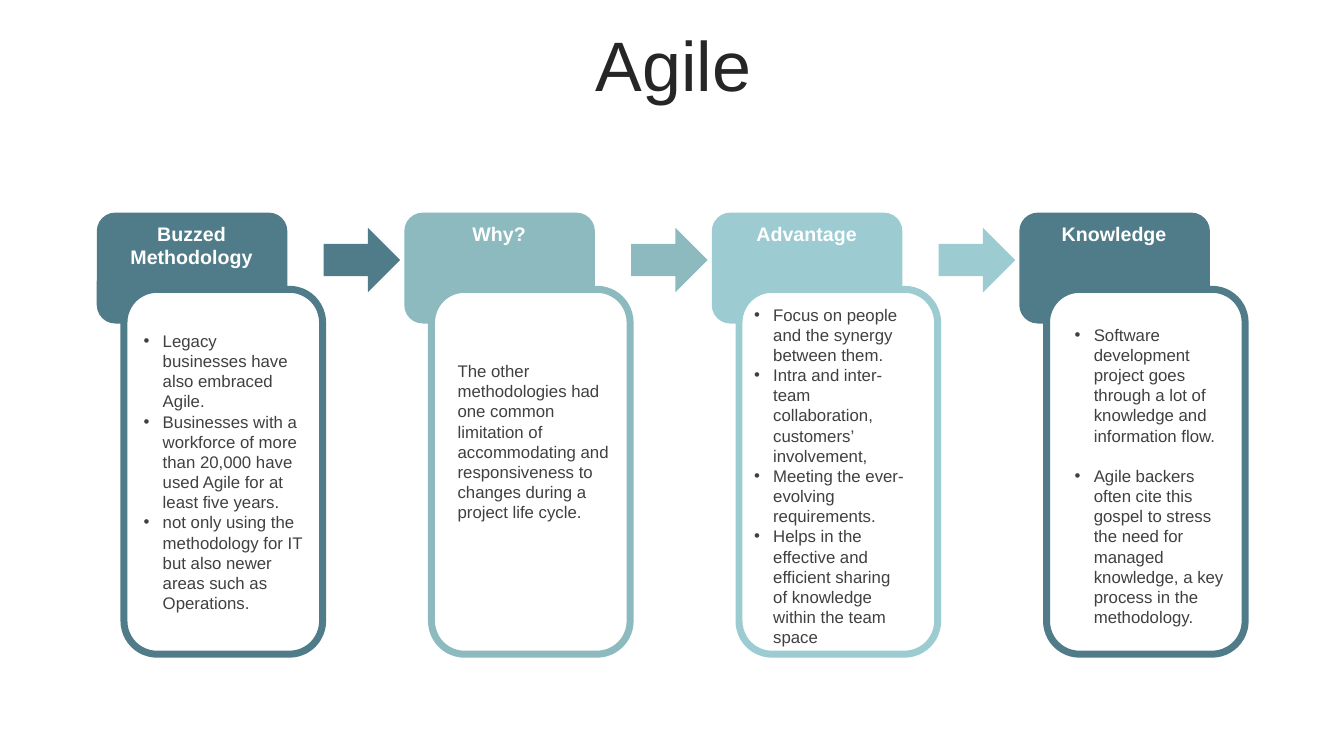
import pptx
import pptx.util
import pptx.dml.color
import pptx.enum.shapes
import pptx.enum.text
import pptx.oxml
import pptx.oxml.ns

Inches, Pt = pptx.util.Inches, pptx.util.Pt
RGBColor = pptx.dml.color.RGBColor
SHAPE = pptx.enum.shapes.MSO_SHAPE
ANCHOR = pptx.enum.text.MSO_ANCHOR
ALIGN = pptx.enum.text.PP_ALIGN

SLATE = RGBColor(0x50, 0x7C, 0x89)
TEAL = RGBColor(0x8C, 0xBA, 0xBE)
AQUA = RGBColor(0x9C, 0xCC, 0xD2)
WHITE = RGBColor(0xFF, 0xFF, 0xFF)
INK = RGBColor(0x26, 0x26, 0x26)
GREY = RGBColor(0x40, 0x40, 0x40)

# Grid of four equal columns
FIRST_LEFT, COLUMN_PITCH = 0.96, 3.05
TAB_TOP, CARD_TOP = 2.11, 2.87
INDENT = Inches(0.19)

# Heading, colour, body box (offset from column, top, height; None = inside card),
# bulleted, gap between paragraphs, paragraphs
COLUMNS = [
    ("Buzzed Methodology", SLATE, None, True, 0, [
        "Legacy businesses have also embraced Agile.",
        "Businesses with a workforce of more than 20,000 have used Agile for at least five years.",
        "not only using the methodology for IT but also newer areas such as Operations."]),
    ("Why?", TEAL, (0.43, 3.53, 1.92), False, 0, [
        "The other methodologies had one common limitation of accommodating and "
        "responsiveness to changes during a project life cycle."]),
    ("Advantage", AQUA, (0.32, 2.97, 3.53), True, 0, [
        "Focus on people and the synergy between them.",
        "Intra and inter-team collaboration, customers’ involvement,",
        "Meeting the ever-evolving requirements.",
        "Helps in the effective and efficient sharing of knowledge within the team space"]),
    ("Knowledge", SLATE, (0.45, 3.17, 3.13), True, 14.4, [
        "Software development project goes through a lot of knowledge and information flow.",
        "Agile backers often cite this gospel to stress the need for managed knowledge, "
        "a key process in the methodology."]),
]


def add_block(kind, left, top, width, height, fill):
    block = slide.shapes.add_shape(
        kind, Inches(left), Inches(top), Inches(width), Inches(height))
    block.shadow.inherit = False
    block.fill.solid()
    block.fill.fore_color.rgb = fill
    block.line.fill.background()
    return block


def style(paragraph, size, color, align, bold=False):
    paragraph.alignment = align
    paragraph.font.name = "Arial"
    paragraph.font.size = Pt(size)
    paragraph.font.bold = bold
    paragraph.font.color.rgb = color


deck = pptx.Presentation()
deck.slide_width, deck.slide_height = Inches(13.33), Inches(7.5)
slide = deck.slides.add_slide(deck.slide_layouts[5])

# Title
title = slide.shapes.title
title.left, title.top = Inches(0.35), Inches(0.31)
title.width, title.height = Inches(12.66), Inches(0.79)
title.text_frame.text = "Agile"
title.text_frame.auto_size = pptx.enum.text.MSO_AUTO_SIZE.NONE
title.text_frame.vertical_anchor = ANCHOR.MIDDLE
title.text_frame.paragraphs[0].line_spacing = 0.8
style(title.text_frame.paragraphs[0], 50, INK, ALIGN.CENTER)

for column, (heading, color, body_box, bulleted, gap, lines) in enumerate(COLUMNS):
    left = FIRST_LEFT + column * COLUMN_PITCH

    # Coloured tab and outlined card
    add_block(SHAPE.ROUNDED_RECTANGLE, left, TAB_TOP, 1.89, 1.1, color)
    card = add_block(SHAPE.ROUNDED_RECTANGLE, left + 0.27, CARD_TOP, 1.97, 3.62, WHITE)
    card.line.color.rgb = color
    card.line.width = Pt(5)

    # Heading
    label = slide.shapes.add_textbox(
        Inches(left + 0.03), Inches(2.15), Inches(1.82), Inches(0.34)).text_frame
    label.word_wrap = True
    label.text = heading
    style(label.paragraphs[0], 14, WHITE, ALIGN.CENTER, bold=True)

    # Body text
    if body_box:
        offset, top, height = body_box
        body = slide.shapes.add_textbox(
            Inches(left + offset), Inches(top), Inches(1.71), Inches(height)).text_frame
    else:
        body = card.text_frame
        body.vertical_anchor = ANCHOR.MIDDLE
    body.word_wrap = True
    body.text = "\n".join(lines)
    for number, paragraph in enumerate(body.paragraphs):
        if number and gap:
            paragraph.space_before = Pt(gap)
        if bulleted:
            properties = paragraph._p.get_or_add_pPr()
            properties.set("marL", str(INDENT))
            properties.set("indent", str(-INDENT))
            properties.append(pptx.oxml.parse_xml(
                '<a:buFont %s typeface="Arial"/>' % pptx.oxml.ns.nsdecls("a")))
            properties.append(pptx.oxml.parse_xml(
                '<a:buChar %s char="•"/>' % pptx.oxml.ns.nsdecls("a")))
        style(paragraph, 12, GREY, ALIGN.LEFT)

    # Arrow to the next column
    if column < len(COLUMNS) - 1:
        add_block(SHAPE.RIGHT_ARROW, left + 2.25, 2.26, 0.76, 0.64, color)

deck.save("out.pptx")
